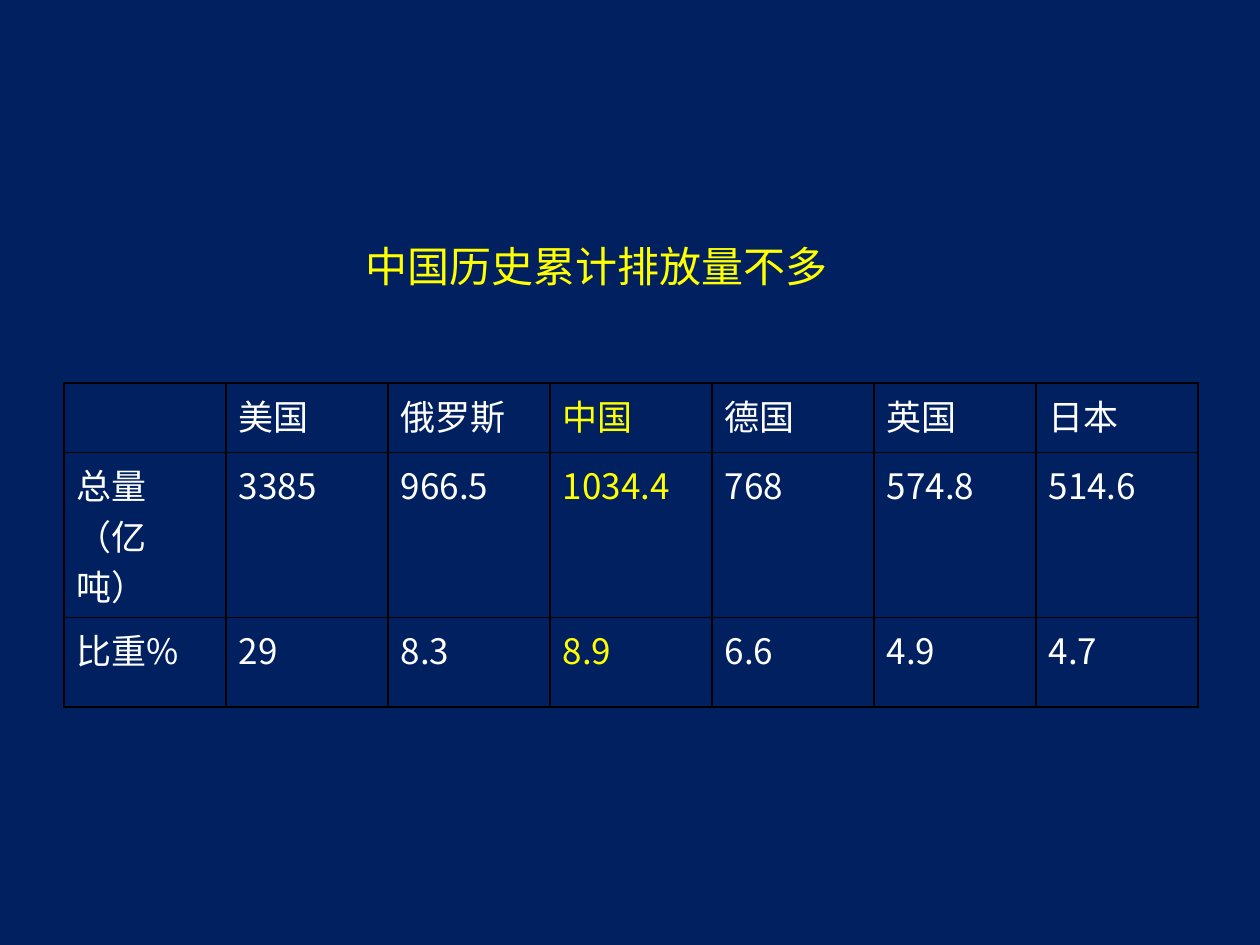
"""Build a slide comparing cumulative historical emissions by country."""
from lxml.etree import SubElement
from pptx import Presentation
from pptx.dml.color import RGBColor
from pptx.enum.text import MSO_ANCHOR, PP_ALIGN
from pptx.oxml import parse_xml
from pptx.oxml.ns import nsdecls, qn
from pptx.util import Inches, Pt

NAVY = RGBColor(0x00, 0x20, 0x60)
WHITE = RGBColor(0xFF, 0xFF, 0xFF)
YELLOW = RGBColor(0xFF, 0xFF, 0x00)
BLACK = RGBColor(0x00, 0x00, 0x00)
CJK_FONT = "Noto Sans CJK SC"

EMISSIONS = [
    ["", "美国", "俄罗斯", "中国", "德国", "英国", "日本"],
    ["总量（亿吨）", "3385", "966.5", "1034.4", "768", "574.8", "514.6"],
    ["比重%", "29", "8.3", "8.9", "6.6", "4.9", "4.7"],
]
ROW_HEIGHTS = [0.55, 0.87, 0.71]
CHINA_COLUMN = EMISSIONS[0].index("中国")


def format_paragraph(paragraph, latin, size, color):
    """Set one font for the whole paragraph, Chinese glyphs included."""
    paragraph.alignment = PP_ALIGN.LEFT
    font = paragraph.font
    font.size, font.name, font.bold = Pt(size), latin, False
    font.color.rgb = color
    defaults = paragraph._p.pPr.find(qn("a:defRPr"))
    SubElement(defaults, qn("a:ea"), typeface=CJK_FONT)


def add_borders(cell, color, width):
    """Draw a solid line on all four sides of a cell."""
    properties = cell._tc.get_or_add_tcPr()
    for position, side in enumerate("LRTB"):
        properties.insert(position, parse_xml(
            f'<a:ln{side} {nsdecls("a")} w="{Pt(width)}"><a:solidFill>'
            f'<a:srgbClr val="{color}"/></a:solidFill></a:ln{side}>'))


def set_title(slide, wording):
    """Place the heading above the table."""
    title = slide.shapes.title
    title.left, title.top = Inches(2.8), Inches(1.86)
    title.width, title.height = Inches(3.94), Inches(0.5)
    frame = title.text_frame
    frame.text = wording
    frame.word_wrap = False
    frame.vertical_anchor = MSO_ANCHOR.MIDDLE
    format_paragraph(frame.paragraphs[0], "Arial", 24, YELLOW)


def add_emissions_table(slide):
    """Add the country table with the China column highlighted."""
    table = slide.shapes.add_table(
        len(EMISSIONS), len(EMISSIONS[0]), Inches(0.51), Inches(3.04),
        Inches(9), Inches(sum(ROW_HEIGHTS))).table
    table.first_row = table.horz_banding = False
    for row, height, values in zip(table.rows, ROW_HEIGHTS, EMISSIONS):
        row.height = Inches(height)
        for column, (cell, value) in enumerate(zip(row.cells, values)):
            cell.text = value
            cell.fill.background()
            add_borders(cell, BLACK, 1)
            color = YELLOW if column == CHINA_COLUMN else WHITE
            format_paragraph(cell.text_frame.paragraphs[0], CJK_FONT, 20, color)


def main():
    """Create and save the presentation."""
    deck = Presentation()
    deck.slide_width, deck.slide_height = Inches(10), Inches(7.5)
    slide = deck.slides.add_slide(deck.slide_layouts[5])
    slide.background.fill.solid()
    slide.background.fill.fore_color.rgb = NAVY
    set_title(slide, "中国历史累计排放量不多")
    add_emissions_table(slide)
    deck.save("out.pptx")


if __name__ == "__main__":
    main()
